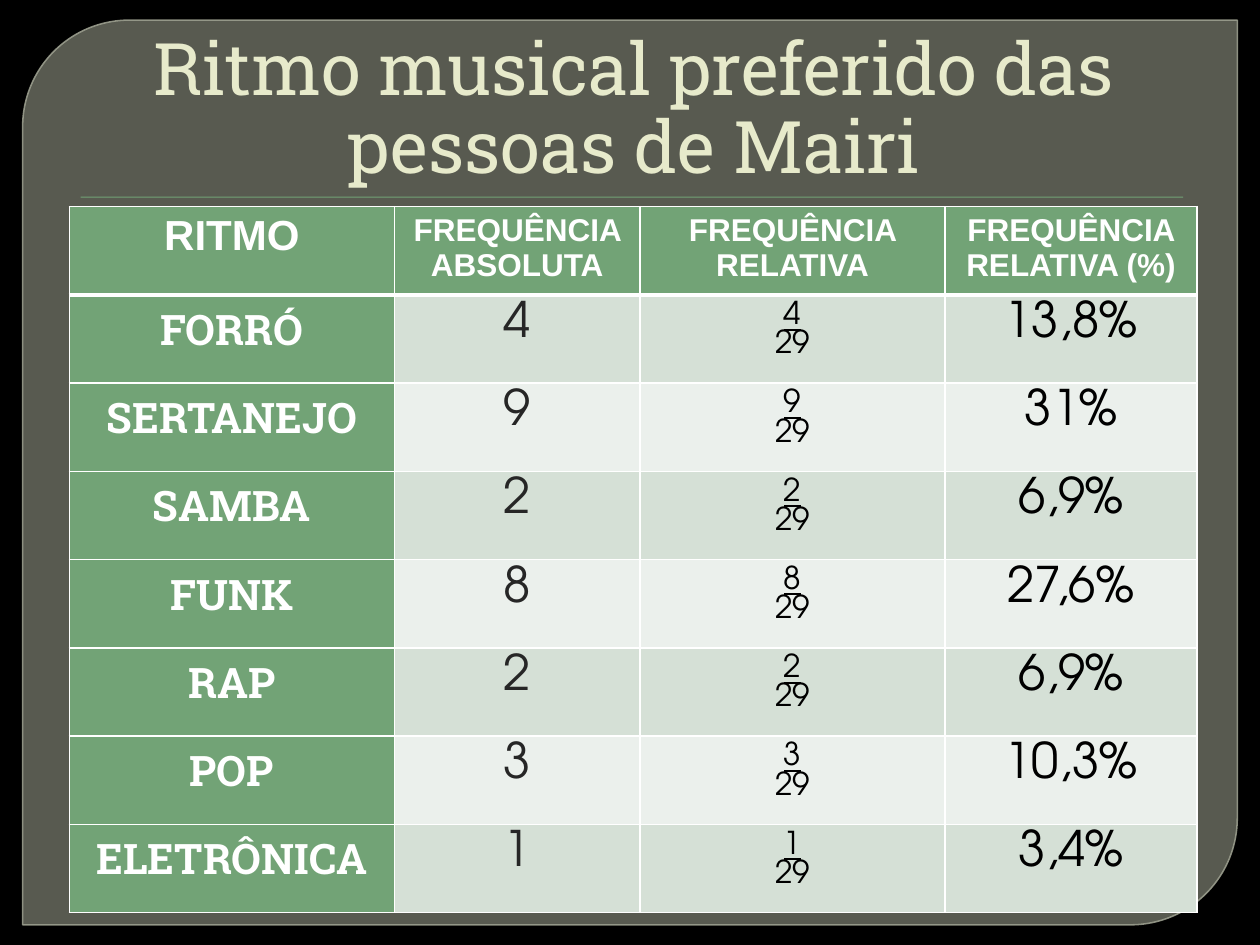
import pptx
import pptx.util
import pptx.dml.color
import pptx.enum.shapes
import pptx.enum.text
import pptx.oxml
import pptx.oxml.ns
import lxml.etree

RGBColor = pptx.dml.color.RGBColor
Inches = pptx.util.Inches
Pt = pptx.util.Pt
SHAPE = pptx.enum.shapes.MSO_SHAPE
CENTER = pptx.enum.text.PP_ALIGN.CENTER

BLACK = RGBColor(0x00, 0x00, 0x00)
WHITE = RGBColor(0xFF, 0xFF, 0xFF)
DARK = RGBColor(0x26, 0x26, 0x26)
CREAM = RGBColor(0xE7, 0xEA, 0xCB)
GREEN = RGBColor(0x72, 0xA3, 0x76)
BANDS = (RGBColor(0xD5, 0xE0, 0xD6), RGBColor(0xEB, 0xF0, 0xEC))
PANEL = RGBColor(0x88, 0x8B, 0x7B)
PANEL_LINE = RGBColor(0x9D, 0xA0, 0x90)

SANS, SLAB, ROUND = "Arial", "Roboto Slab", "TeX Gyre Adventor"

HEADERS = ("RITMO", "FREQUÊNCIA ABSOLUTA", "FREQUÊNCIA RELATIVA",
           "FREQUÊNCIA RELATIVA (%)")
RHYTHMS = (("FORRÓ", 4, "13,8%"), ("SERTANEJO", 9, "31%"),
           ("SAMBA", 2, "6,9%"), ("FUNK", 8, "27,6%"), ("RAP", 2, "6,9%"),
           ("POP", 3, "10,3%"), ("ELETRÔNICA", 1, "3,4%"))
TOTAL = sum(count for _, count, _ in RHYTHMS)
COLUMNS = (2.58, 1.95, 2.42, 2)
TABLE_HEIGHT = 5.31


def set_alpha(fill, percent):
    """Make a solid fill partly transparent."""
    color = fill._xPr.find(".//" + pptx.oxml.ns.qn("a:srgbClr"))
    alpha = lxml.etree.SubElement(color, pptx.oxml.ns.qn("a:alpha"))
    alpha.set("val", str(percent * 1000))


def add_block(slide, kind, box, color):
    """Add a filled preset shape without outline or shadow."""
    sp = slide.shapes.add_shape(kind, *map(Inches, box))
    sp.shadow.inherit = False
    sp.fill.solid()
    sp.fill.fore_color.rgb = color
    sp.line.fill.background()
    return sp


def add_panel(slide):
    """Add the translucent panel with two rounded corners."""
    sp = add_block(slide, SHAPE.ROUND_2_DIAG_RECTANGLE,
                   (0.18, 0.16, 9.64, 7.18), PANEL)
    sp.adjustments[0] = 0.118
    sp.adjustments[1] = 0
    set_alpha(sp.fill, 65)
    sp.line.color.rgb = PANEL_LINE
    sp.line.width = Pt(0.87)
    set_alpha(sp.line.fill, 88)


def write(tf, text, font, size, color, bold=False):
    """Write centred text in one format, a paragraph per line."""
    tf.text = text
    for p in tf.paragraphs:
        p.alignment = CENTER
        for r in p.runs:
            r.font.name = font
            r.font.size = Pt(size)
            r.font.color.rgb = color
            r.font.bold = bold


def add_title(slide, text):
    """Add the title, anchored to the bottom of its box."""
    box = slide.shapes.add_textbox(*map(Inches, (0.5, 0.28, 9, 1.25)))
    tf = box.text_frame
    tf.word_wrap = True
    tf.vertical_anchor = pptx.enum.text.MSO_ANCHOR.BOTTOM
    tf.margin_bottom = Inches(0.03)
    write(tf, text, SLAB, 41.4, CREAM)
    p = tf.paragraphs[0]
    p.line_spacing = 0.9
    p._p.get_or_add_pPr().set("marL", str(Inches(0.06)))


def style_cell(cell, color, top=1, bottom=1):
    """Give a cell white borders and a solid fill."""
    tcPr = cell._tc.get_or_add_tcPr()
    for side, width in (("L", 1), ("R", 1), ("T", top), ("B", bottom)):
        tcPr.append(pptx.oxml.parse_xml(
            f'<a:ln{side} {pptx.oxml.ns.nsdecls("a")} w="{Pt(width)}">'
            f'<a:solidFill><a:srgbClr val="{WHITE}"/></a:solidFill>'
            f'</a:ln{side}>'))
    cell.fill.solid()
    cell.fill.fore_color.rgb = color


def fill_row(table, row, rhythm, count, share):
    """Fill one row of data, with the relative frequency as a fraction."""
    cells = [table.cell(row, col) for col in range(len(COLUMNS))]
    for col, cell in enumerate(cells):
        style_cell(cell, BANDS[(row - 1) % 2] if col else GREEN,
                   top=3 if row == 1 else 1)
    write(cells[0].text_frame, rhythm, SLAB, 24, WHITE, True)
    write(cells[1].text_frame, str(count), ROUND, 28, DARK)
    write(cells[2].text_frame, f"{count}\n{TOTAL}", ROUND, 18, BLACK)
    cells[2].text_frame.paragraphs[0].runs[0].font.underline = True
    write(cells[3].text_frame, share, ROUND, 28, BLACK)


def add_frequency_table(slide):
    """Add the table of frequencies by rhythm."""
    rows = len(RHYTHMS) + 1
    table = slide.shapes.add_table(
        rows, len(COLUMNS),
        *map(Inches, (0.55, 1.64, sum(COLUMNS), TABLE_HEIGHT))).table
    for column, width in zip(table.columns, COLUMNS):
        column.width = Inches(width)
    for row in table.rows:
        row.height = Inches(TABLE_HEIGHT / rows)
    for col, header in enumerate(HEADERS):
        cell = table.cell(0, col)
        style_cell(cell, GREEN, bottom=3)
        write(cell.text_frame, header, SANS, 18 if col else 24, WHITE, True)
    for row, record in enumerate(RHYTHMS, start=1):
        fill_row(table, row, *record)


def main():
    """Build the slide and save it."""
    prs = pptx.Presentation()
    prs.slide_width, prs.slide_height = Inches(10), Inches(7.5)
    slide = prs.slides.add_slide(prs.slide_layouts[6])
    slide.background.fill.solid()
    slide.background.fill.fore_color.rgb = BLACK
    add_panel(slide)
    add_block(slide, SHAPE.RECTANGLE, (0.64, 1.56, 8.75, 0.01), GREEN)
    add_title(slide, "Ritmo musical preferido das pessoas de Mairi")
    add_frequency_table(slide)
    prs.save("out.pptx")


main()
